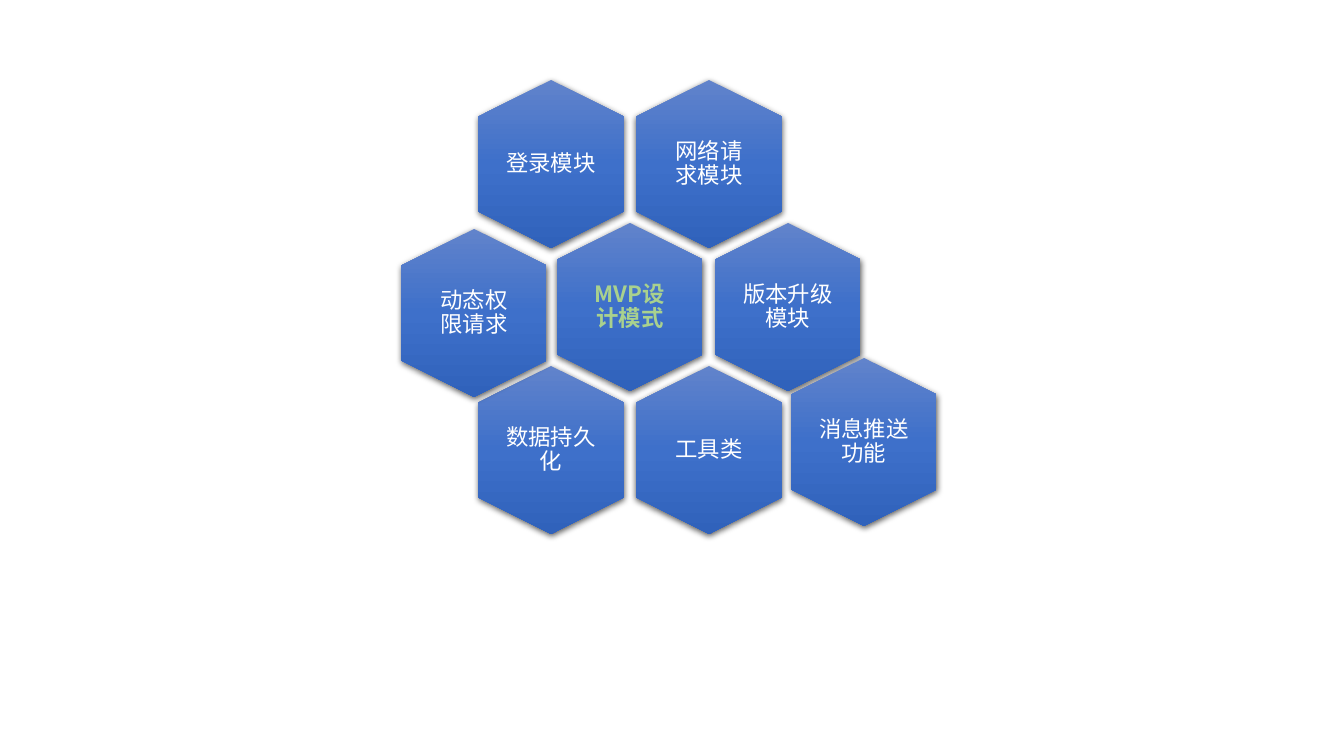
from lxml import etree
from pptx import Presentation
from pptx.dml.color import RGBColor
from pptx.enum.shapes import MSO_SHAPE as SHAPE
from pptx.enum.text import MSO_ANCHOR as ANCHOR, PP_ALIGN as ALIGN
from pptx.oxml import parse_xml
from pptx.oxml.ns import nsdecls, qn
from pptx.util import Pt

SCALE = 12192000 / 1344
FONT = "Noto Sans CJK SC"
WHITE = RGBColor(0xFF, 0xFF, 0xFF)
GREEN = RGBColor(0xA9, 0xD1, 0x8E)
GRADIENT = [
    (0, RGBColor(0x61, 0x83, 0xCB)),
    (50, RGBColor(0x3E, 0x70, 0xCA)),
    (100, RGBColor(0x30, 0x62, 0xBB)),
]
HEX_LENGTH, HEX_WIDTH = 168, 146
LABEL_WIDTH, LABEL_HEIGHT = 101, 116
LEFT, TOP = 551, 164
COLUMN_STEP, ROW_STEP = 158, 143


def px(pixels):
    return round(pixels * SCALE)


def centered_box(x, y, width, height):
    return px(x - width / 2), px(y - height / 2), px(width), px(height)


modules = [
    ("网络请求模块", LEFT + COLUMN_STEP, TOP, 7),
    ("登录模块", LEFT, TOP, 0),
    ("MVP设计模式", LEFT + COLUMN_STEP / 2, TOP + ROW_STEP, 7),
    ("版本升级模块", LEFT + COLUMN_STEP * 1.5, TOP + ROW_STEP, 0),
    ("工具类", LEFT + COLUMN_STEP, TOP + ROW_STEP * 2, 7),
    ("数据持久化", LEFT, TOP + ROW_STEP * 2, 0),
    ("动态权限请求", 474, 313, 7),
    ("消息推送功能", 864, 442, 0),
]

stops = "".join(
    f'<a:gs pos="{position * 1000}"><a:srgbClr val="{color}"/></a:gs>'
    for position, color in GRADIENT
)
gradient_xml = (
    f'<a:gradFill {nsdecls("a")} rotWithShape="0"><a:gsLst>{stops}</a:gsLst>'
    '<a:lin ang="5400000" scaled="0"/></a:gradFill>'
)
shadow_xml = (
    f'<a:outerShdw {nsdecls("a")} blurRad="{int(Pt(4.5))}" dist="{int(Pt(1.5))}" '
    'dir="5400000" algn="ctr" rotWithShape="0"><a:srgbClr val="000000">'
    '<a:alpha val="63000"/></a:srgbClr></a:outerShdw>'
)

presentation = Presentation()
presentation.slide_width = px(1344)
presentation.slide_height = px(756)
slide = presentation.slides.add_slide(presentation.slide_layouts[6])
honeycomb = slide.shapes.add_group_shape().shapes

for name, x, y, inset in modules:
    hexagon = honeycomb.add_shape(
        SHAPE.HEXAGON, *centered_box(x, y, HEX_LENGTH, HEX_WIDTH)
    )
    hexagon.rotation = 90
    hexagon.adjustments[0] = 0.25
    hexagon.adjustments[1] = 1.15
    hexagon.line.fill.background()
    hexagon.shadow.inherit = False
    properties = hexagon.element.spPr
    properties.find(qn("a:prstGeom")).addnext(parse_xml(gradient_xml))
    properties.find(qn("a:effectLst")).append(parse_xml(shadow_xml))

    label = honeycomb.add_textbox(*centered_box(x, y, LABEL_WIDTH, LABEL_HEIGHT))
    frame = label.text_frame
    frame.text = name
    frame.word_wrap = True
    frame.vertical_anchor = ANCHOR.MIDDLE
    frame.margin_left = frame.margin_right = px(inset)
    frame.margin_top = frame.margin_bottom = px(inset)
    paragraph = frame.paragraphs[0]
    paragraph.alignment = ALIGN.CENTER
    paragraph.line_spacing = 0.9
    is_center = name.startswith("MVP")
    font = paragraph.runs[0].font
    font.size = Pt(16)
    font.bold = is_center
    font.color.rgb = GREEN if is_center else WHITE
    font.name = FONT
    latin = next(label.element.iter(qn("a:latin")))
    latin.addnext(etree.Element(qn("a:ea"), typeface=FONT))

presentation.save("out.pptx")
